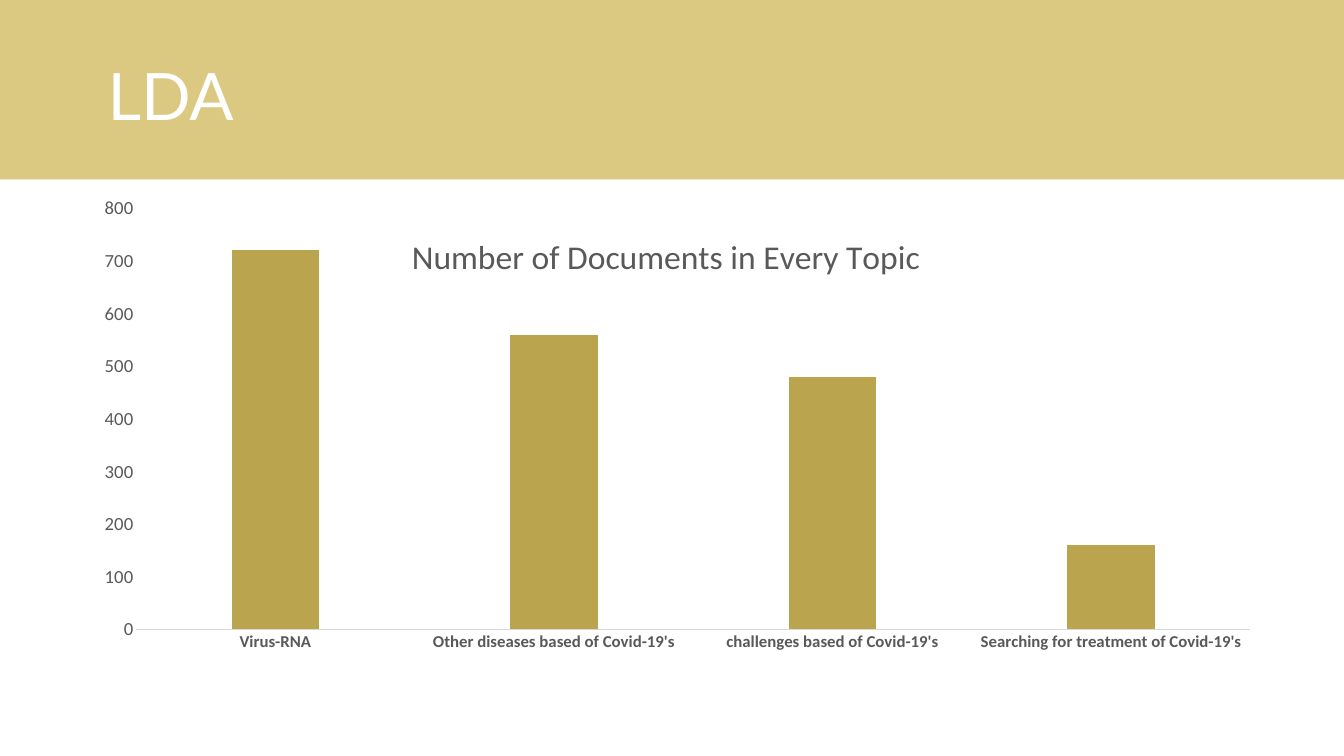
from lxml import etree
from pptx import Presentation
from pptx.chart.data import CategoryChartData
from pptx.dml.color import RGBColor
from pptx.enum.chart import XL_CHART_TYPE, XL_TICK_MARK
from pptx.enum.shapes import MSO_SHAPE
from pptx.enum.text import MSO_ANCHOR, PP_ALIGN
from pptx.oxml import parse_xml
from pptx.util import Inches, Pt

COLUMN = XL_CHART_TYPE.COLUMN_CLUSTERED
NO_TICK = XL_TICK_MARK.NONE
RECT = MSO_SHAPE.RECTANGLE
MIDDLE = MSO_ANCHOR.MIDDLE
LEFT = PP_ALIGN.LEFT
NS = "http://schemas.openxmlformats.org/drawingml/2006/chart"
HUES = {"band": "DBC982", "bar": "BAA54E", "text": "595959",
        "line": "D9D9D9", "white": "FFFFFF"}
TOPICS = {
    "Virus-RNA": 720,
    "Other diseases based of Covid-19's": 560,
    "challenges based of Covid-19's": 480,
    "Searching for treatment of Covid-19's": 160,
}


def style(font, size, hue, name="Calibri", bold=False):
    font.size, font.name, font.bold = Pt(size), name, bold
    font.color.rgb = RGBColor.from_string(HUES[hue])


def place(**shares):
    """Manual chart layout, in shares of the chart's size."""
    layout = etree.Element(f"{{{NS}}}layout", nsmap={"c": NS})
    manual = etree.SubElement(layout, f"{{{NS}}}manualLayout")
    for tag, val in shares.items():
        etree.SubElement(manual, f"{{{NS}}}{tag}", val=str(val))
    return parse_xml(etree.tostring(layout))


deck = Presentation()
deck.slide_width, deck.slide_height = Inches(20), Inches(11.25)
wide, high = deck.slide_width, deck.slide_height
slide = deck.slides.add_slide(deck.slide_layouts[5])
shapes = slide.shapes

# Column chart
data = CategoryChartData()
data.categories = list(TOPICS)
data.add_series("Series 1", list(TOPICS.values()))
chart = shapes.add_chart(COLUMN, Inches(1.13), Inches(2.93),
                         Inches(17.53), Inches(7.61), data).chart
chart.has_legend = False
chart.font.name, chart.font.size = "Calibri", Pt(10)

plot = chart.plots[0]
plot.gap_width, plot.overlap = 219, -27
plot.vary_by_categories = False
fill = plot.series[0].format.fill
fill.solid()
fill.fore_color.rgb = RGBColor.from_string(HUES["bar"])

# Axes
cat, val = chart.category_axis, chart.value_axis
for axis, size in ((cat, 18), (val, 20)):
    axis.major_tick_mark = axis.minor_tick_mark = NO_TICK
    axis.has_major_gridlines = False
    style(axis.tick_labels.font, size, "text", bold=axis is cat)
cat.format.line.color.rgb = RGBColor.from_string(HUES["line"])
cat.format.line.width = Pt(0.75)
val.format.line.fill.background()
val.minimum_scale, val.maximum_scale, val.major_unit = 0, 800, 100

# Chart title, laid over the plot
head = chart.chart_title
head.text_frame.text = "Number of Documents in Every Topic"
style(head.text_frame.paragraphs[0].runs[0].font, 36, "text")
head.include_in_layout = True
root = head._element
for old in root.findall(f"{{{NS}}}layout"):
    root.remove(old)
root.find(f"{{{NS}}}tx").addnext(
    place(xMode="edge", yMode="edge", x=0.28, y=0.05))
root.find(f"{{{NS}}}overlay").set("val", "1")

# Plot area
area = chart._chartSpace.chart.plotArea
for old in area.findall(f"{{{NS}}}layout"):
    area.remove(old)
area.insert(0, place(layoutTarget="inner", xMode="edge", yMode="edge",
                     x=0.051, y=0.011, w=0.946, h=0.833))

# Title band
band = shapes.add_shape(RECT, 0, Inches(-0.13), wide, Inches(2.8))
band.shadow.inherit = False
band.fill.solid()
band.fill.fore_color.rgb = RGBColor.from_string(HUES["band"])
band.line.fill.background()

# Slide title, in front of the band
title = shapes.title
band._element.addnext(title._element)
title.left, title.top = int(wide * 0.075), Inches(0.76)
title.width, title.height = Inches(3.92), Inches(1.28)
frame = title.text_frame
frame.text = "LDA"
frame.vertical_anchor = MIDDLE
frame.paragraphs[0].alignment = LEFT
style(frame.paragraphs[0].runs[0].font, 70, "white", "Lato")

deck.save("out.pptx")
